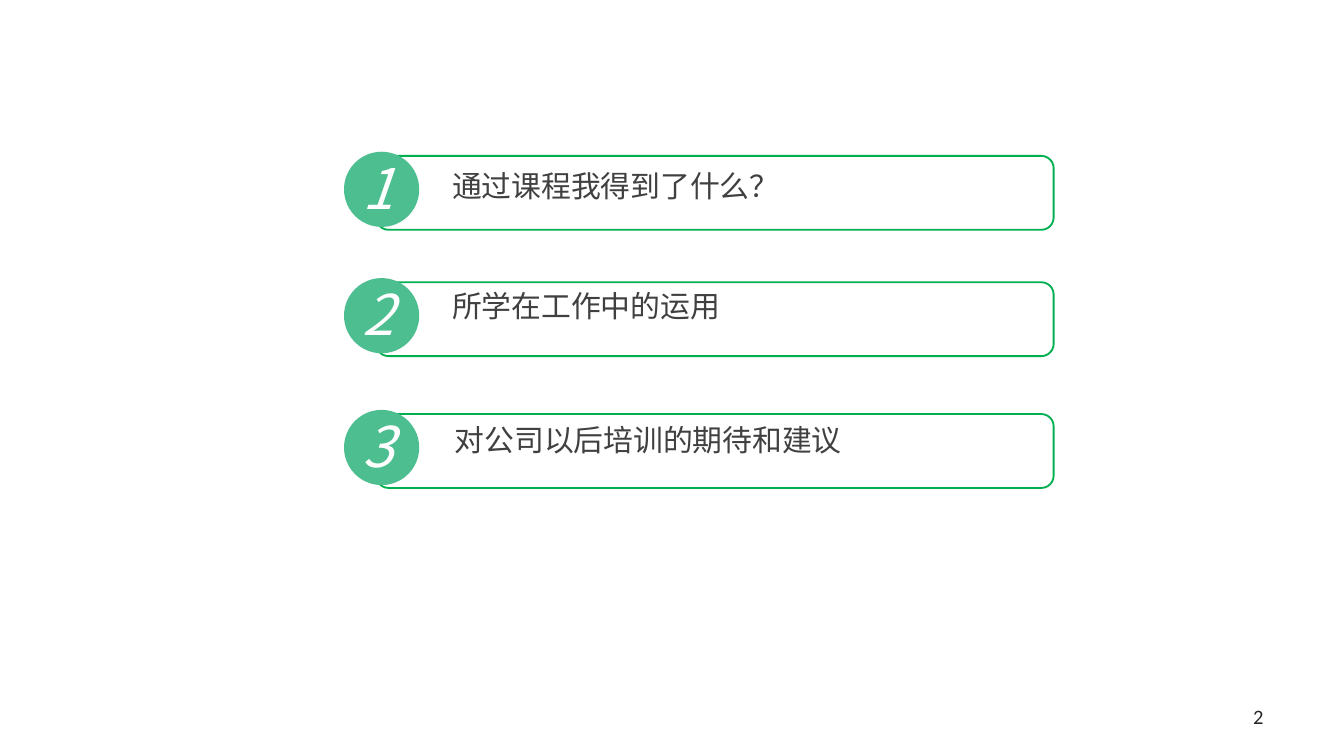
from dataclasses import dataclass

from pptx import Presentation
from pptx.dml.color import RGBColor
from pptx.enum import shapes, text
from pptx.oxml.ns import qn
from pptx.slide import Slide
from pptx.util import Pt
from lxml import etree

COLOURS = {
    "border": "00B050",
    "badge": "4CBE8F",
    "label": "404040",
    "number": "FFFFFF",
    "footer": "262626",
}
CJK = "Noto Sans CJK SC"
BAR_LEFT, BAR_WIDTH, BAR_HEIGHT = 201.6, 362.9, 39.6
BADGE_LEFT, BADGE_SIZE = 184.3, 40.3


@dataclass
class Topic:
    wording: str
    bar_top: float
    label_left: float
    label_top: float
    label_width: float


@dataclass
class Style:
    font: str
    size: float
    colour: str
    align: text.PP_ALIGN = text.PP_ALIGN.LEFT
    anchor: text.MSO_ANCHOR = text.MSO_ANCHOR.TOP
    italic: bool = False
    insets: tuple[float, float, float, float] = (0, 0, 0, 0)


LABEL = Style(CJK, 16, "label", insets=(6.8, 0.5, 0, 0))
NUMBER = Style(CJK, 30, "number", text.PP_ALIGN.CENTER,
               text.MSO_ANCHOR.MIDDLE, italic=True)
FOOTER = Style("Calibri", 11, "footer", text.PP_ALIGN.RIGHT,
               text.MSO_ANCHOR.BOTTOM, insets=(7.2, 3.6, 7.2, 3.6))

TOPICS = [
    Topic("通过课程我得到了什么？", 83.5, 235.4, 89.3, 183),
    Topic("所学在工作中的运用", 151.2, 235.4, 153.4, 183),
    Topic("对公司以后培训的期待和建议", 221.8, 236.9, 225.4, 317.5),
]


def colour(name: str) -> RGBColor:
    return RGBColor.from_string(COLOURS[name])


def add_text(page: Slide, wording: str, left: float, top: float,
             width: float, height: float, style: Style) -> None:
    box = page.shapes.add_textbox(Pt(left), Pt(top), Pt(width), Pt(height))
    frame = box.text_frame
    frame.word_wrap = True
    frame.vertical_anchor = style.anchor
    (frame.margin_left, frame.margin_top,
     frame.margin_right, frame.margin_bottom) = map(Pt, style.insets)
    para = frame.paragraphs[0]
    para.alignment = style.align
    span = para.add_run()
    span.text = wording
    span.font.name = style.font
    span.font.size = Pt(style.size)
    span.font.italic = style.italic
    span.font.color.rgb = colour(style.colour)
    properties = span.font._element
    east_asian = etree.SubElement(properties, qn("a:ea"))
    east_asian.set("typeface", style.font)


def add_bar(page: Slide, top: float) -> None:
    bar = page.shapes.add_shape(
        shapes.MSO_SHAPE.ROUNDED_RECTANGLE,
        Pt(BAR_LEFT), Pt(top), Pt(BAR_WIDTH), Pt(BAR_HEIGHT))
    bar.shadow.inherit = False
    bar.fill.background()
    bar.line.color.rgb = colour("border")
    bar.line.width = Pt(1)


def add_badge(page: Slide, top: float) -> None:
    badge = page.shapes.add_shape(
        shapes.MSO_SHAPE.OVAL,
        Pt(BADGE_LEFT), Pt(top), Pt(BADGE_SIZE), Pt(BADGE_SIZE))
    badge.shadow.inherit = False
    badge.fill.solid()
    badge.fill.fore_color.rgb = colour("badge")
    badge.line.fill.background()


def add_topic(page: Slide, number: int, topic: Topic) -> None:
    add_bar(page, topic.bar_top)
    add_badge(page, topic.bar_top - 2.2)
    add_text(page, topic.wording, topic.label_left, topic.label_top,
             topic.label_width, 36, LABEL)
    add_text(page, str(number), 180, topic.bar_top - 4.2, 44.6, 41.8, NUMBER)


def main() -> None:
    deck = Presentation()
    deck.slide_width, deck.slide_height = Pt(720), Pt(405)
    page = deck.slides.add_slide(deck.slide_layouts[6])
    for number, topic in enumerate(TOPICS, start=1):
        add_topic(page, number, topic)
    add_text(page, "2", 654.5, 372.2, 29.5, 21.6, FOOTER)
    deck.save("out.pptx")


if __name__ == "__main__":
    main()
